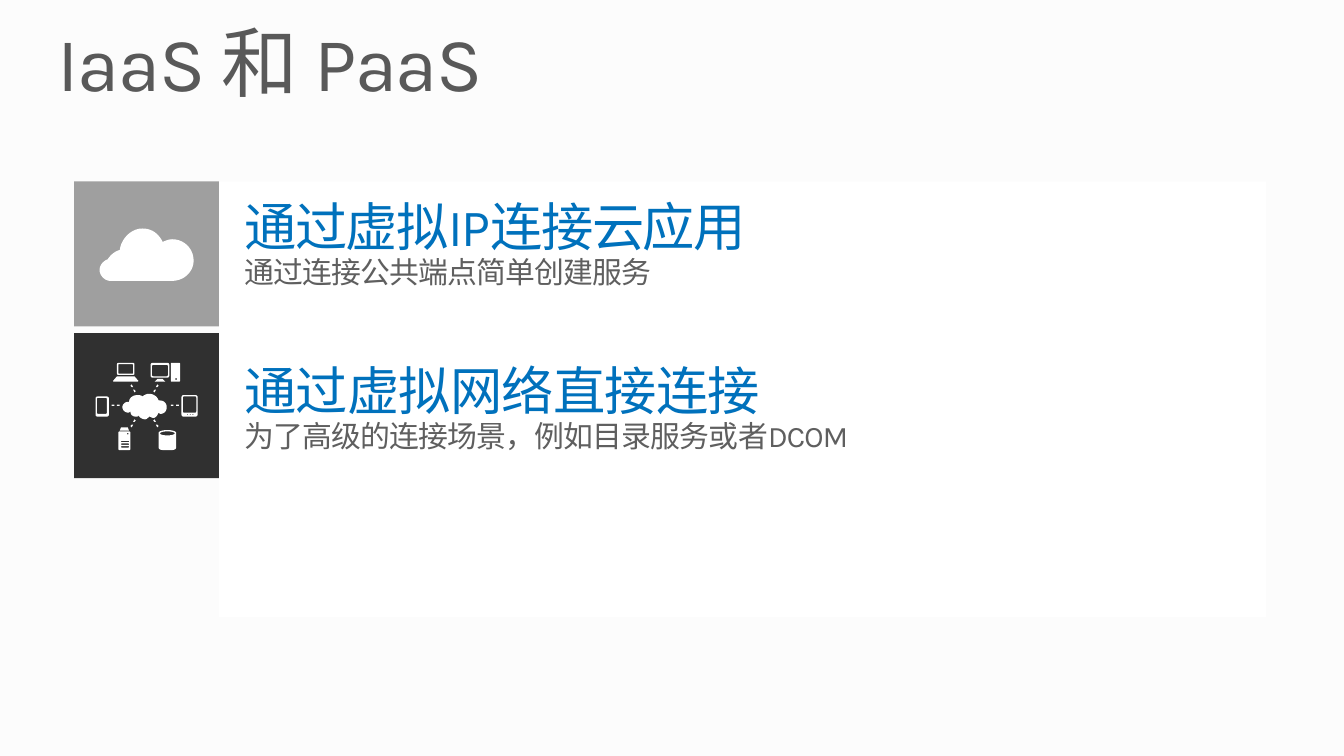
from math import cos, pi, sin

from pptx import Presentation
from pptx import util as u
from pptx.dml import color
from pptx.enum import shapes, text

FONT, WHITE, BLUE, GREY = "Karla", "FFFFFF", "0071BC", "5F5F5F"
ICON_SIDE = 2.74
ICON_LEFT = 1.4

CLOUD = [(73, 74), (27, 74), (23, 74, 19, 70, 19, 66), (19, 62, 22, 59, 25, 58),
         (27, 55, 30, 52, 34, 51), (35, 43, 42, 35, 51, 35), (58, 35, 63, 39, 66, 45),
         (68, 44, 71, 43, 73, 43), (82, 43, 89, 50, 89, 59), (89, 67, 82, 74, 73, 74)]
HUB = [(64, 60), (67, 60, 69, 58, 69, 55), (69, 52, 67, 50, 64, 50), (63, 50),
       (62, 47, 59, 45, 56, 45), (54, 45, 52, 46, 51, 47), (50, 46, 48, 46, 47, 46),
       (44, 46, 41, 48, 41, 51), (40, 51), (38, 51, 36, 53, 36, 55),
       (36, 57, 38, 59, 40, 59), (41, 59, 41, 59, 42, 58), (42, 61, 44, 62, 46, 62),
       (47, 62, 48, 62, 48, 61), (49, 63, 51, 64, 53, 64), (54, 64, 55, 63, 56, 62),
       (57, 62, 58, 63, 59, 63), (61, 63, 62, 61, 63, 59)]
DATABASE = [(69.5, 72), (73, 72, 76, 73, 76, 74), (76, 85), (76, 87, 73, 87, 69.5, 87),
            (66, 87, 63, 87, 63, 85), (63, 74), (63, 73, 66, 72, 69.5, 72)]


def rgb(value):
    return color.RGBColor.from_string(value)


def trace(segments, steps=10):
    points = [segments[0]]
    for segment in segments[1:]:
        if len(segment) == 2:
            points.append(segment)
            continue
        x0, y0 = points[-1]
        x1, y1, x2, y2, x3, y3 = segment
        for step in range(1, steps + 1):
            t = step / steps
            a, b, c, d = (1 - t) ** 3, 3 * t * (1 - t) ** 2, 3 * t * t * (1 - t), t ** 3
            points.append((a * x0 + b * x1 + c * x2 + d * x3,
                           a * y0 + b * y1 + c * y2 + d * y3))
    return points


def ellipse(x, y, rx, ry, steps=24):
    return [(x + rx * cos(2 * pi * i / steps), y + ry * sin(2 * pi * i / steps))
            for i in range(steps)]


def box(left, top, right, bottom, radius=0):
    if not radius:
        return [(left, top), (right, top), (right, bottom), (left, bottom)]
    corners = [(right - radius, bottom - radius), (left + radius, bottom - radius),
               (left + radius, top + radius), (right - radius, top + radius)]
    return [(x + radius * cos(pi / 2 * (corner + i / 4)),
             y + radius * sin(pi / 2 * (corner + i / 4)))
            for corner, (x, y) in enumerate(corners) for i in range(5)]


def link_dashes():
    dashes = [box(x, 53, x + 2, 54) for x in (28, 32, 72, 76)]
    for dash in ([(43, 40), (44, 40), (43, 38), (42, 39)],
                 [(45, 44), (46, 43), (45, 42), (44, 42)]):
        for flip_x in (False, True):
            for flip_y in (False, True):
                dashes.append([(105 - x if flip_x else x, 108 - y if flip_y else y)
                               for x, y in dash])
    return dashes


def network():
    laptop = [box(32, 22, 45, 31, 1), box(33, 23, 44, 30, 0.5),
              [(32, 32), (45, 32), (48, 35.5), (47.5, 36), (29.5, 36), (29, 35.5)]]
    desktop = [box(57, 22, 71, 33, 1.5), box(58, 23.5, 70, 32, 1),
               [(62, 34), (66, 34), (68, 36), (60, 36)],
               box(72, 22, 79, 36, 0.7), ellipse(76, 34, 0.7, 0.7)]
    phone = [box(16, 47, 26, 62, 1.5), box(17, 48, 24.5, 60, 1)]
    tablet = [box(80, 46, 92, 62, 1.5), box(81, 47, 91, 59, 0.7)]
    tablet += [ellipse(x, 60.5, 0.4, 0.4) for x in (84.5, 86.5, 88.5)]
    server = [[(34, 72.5), (35, 70), (40, 70), (41, 72.5)],
              box(33, 73, 42, 87, 1), ellipse(40, 74.7, 0.6, 0.6)]
    server += [box(35, y, 41, y + 1, 0.4) for y in (80, 82, 84)]
    database = [trace(DATABASE), ellipse(69.5, 74.5, 5.5, 1.5)]
    return [trace(HUB)] + link_dashes() + laptop + desktop + phone + tablet + server + database


def add_run(paragraph, content, size, fill, spacing):
    run = paragraph.add_run()
    run.text = content
    run.font.size = u.Pt(size)
    run.font.name = FONT
    run.font.color.rgb = rgb(fill)
    properties = run._r.get_or_add_rPr()
    properties.set("lang", "zh-CN")
    properties.set("spc", str(round(spacing * 100)))


class Board:
    """Draws styled elements on the current slide."""

    def __init__(self, presentation, background):
        self.slide = presentation.slides.add_slide(presentation.slide_layouts[6])
        self.slide.background.fill.solid()
        self.slide.background.fill.fore_color.rgb = rgb(background)

    def paint(self, shape, fill):
        shape.shadow.inherit = False
        shape.fill.solid()
        shape.fill.fore_color.rgb = rgb(fill)
        shape.line.fill.background()

    def rectangle(self, left, top, width, height, fill):
        shape = self.slide.shapes.add_shape(
            shapes.MSO_SHAPE.RECTANGLE, u.Cm(left), u.Cm(top), u.Cm(width), u.Cm(height))
        self.paint(shape, fill)

    def icon(self, left, top, contours):
        contours = [[(x * 100, y * 100) for x, y in contour] for contour in contours]
        builder = self.slide.shapes.build_freeform(*contours[0][0], scale=u.Cm(2.54) / 10000)
        builder.add_line_segments(contours[0][1:], close=True)
        for contour in contours[1:]:
            builder.move_to(*contour[0])
            builder.add_line_segments(contour[1:], close=True)
        self.paint(builder.convert_to_shape(u.Cm(left), u.Cm(top)), WHITE)

    def words(self, left, top, width, height, lines):
        shape = self.slide.shapes.add_textbox(u.Cm(left), u.Cm(top), u.Cm(width), u.Cm(height))
        frame = shape.text_frame
        frame.word_wrap = True
        frame.vertical_anchor = text.MSO_ANCHOR.TOP
        frame.margin_left = frame.margin_right = frame.margin_top = frame.margin_bottom = 0
        for index, line in enumerate(lines):
            paragraph = frame.add_paragraph() if index else frame.paragraphs[0]
            paragraph.line_spacing = 0.9
            add_run(paragraph, **line)


def main():
    presentation = Presentation()
    presentation.slide_width, presentation.slide_height = u.Cm(25.4), u.Cm(14.29)
    board = Board(presentation, "FCFCFC")
    board.rectangle(ICON_LEFT + ICON_SIDE, 3.43, 19.79, 8.23, WHITE)
    board.words(1.09, 0.48, 23.24, 1.57,
                [dict(content="IaaS 和 PaaS", size=41, fill="595959", spacing=-0.8)])
    rows = [
        (3.43, "9F9F9F", [trace(CLOUD)], 3.81, "通过虚拟IP连接云应用", -0.8,
         "通过连接公共端点简单创建服务"),
        (6.3, "303030", network(), 6.91, "通过虚拟网络直接连接", -0.4,
         "为了高级的连接场景，例如目录服务或者DCOM"),
    ]
    for top, fill, contours, text_top, heading, spacing, detail in rows:
        board.rectangle(ICON_LEFT, top, ICON_SIDE, ICON_SIDE, fill)
        board.icon(ICON_LEFT, top, contours)
        board.words(4.62, text_top, 21.34, 1.7, [
            dict(content=heading, size=28, fill=BLUE, spacing=spacing),
            dict(content=detail, size=16, fill=GREY, spacing=-0.4)])
    presentation.save("out.pptx")


if __name__ == "__main__":
    main()
